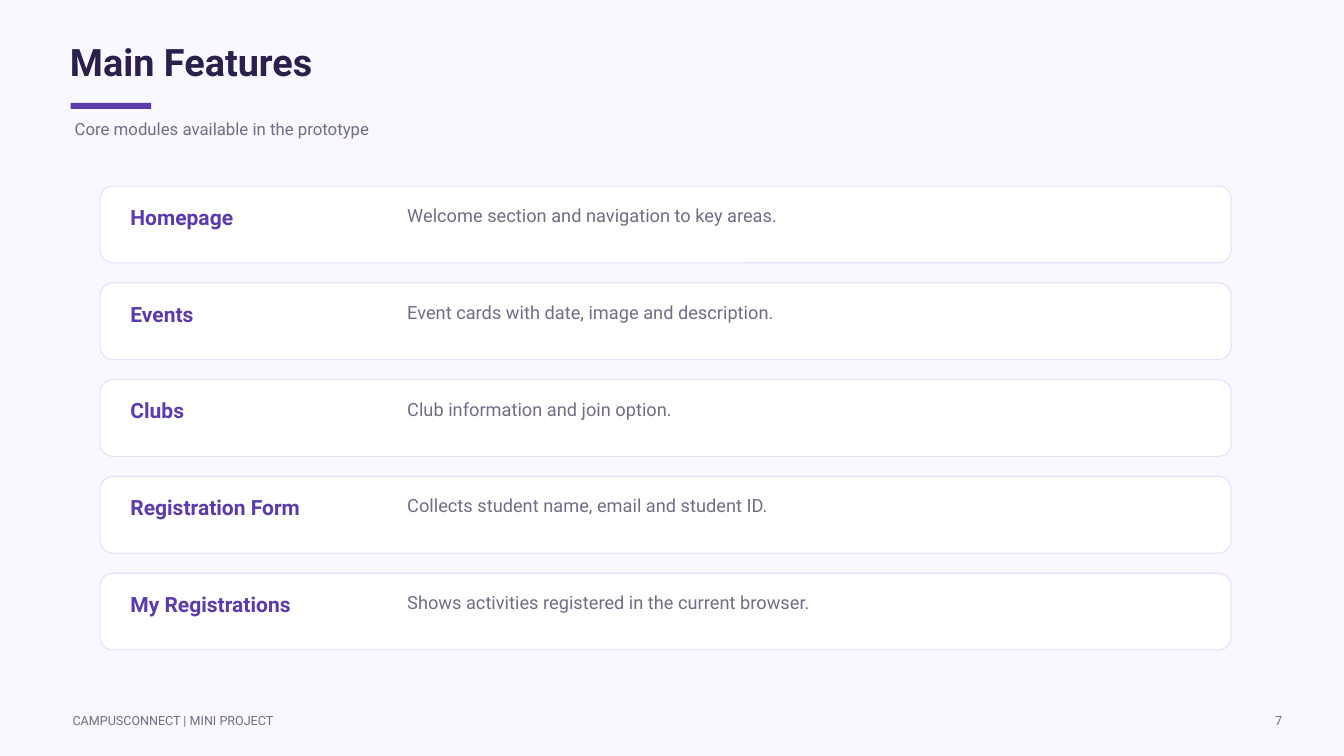
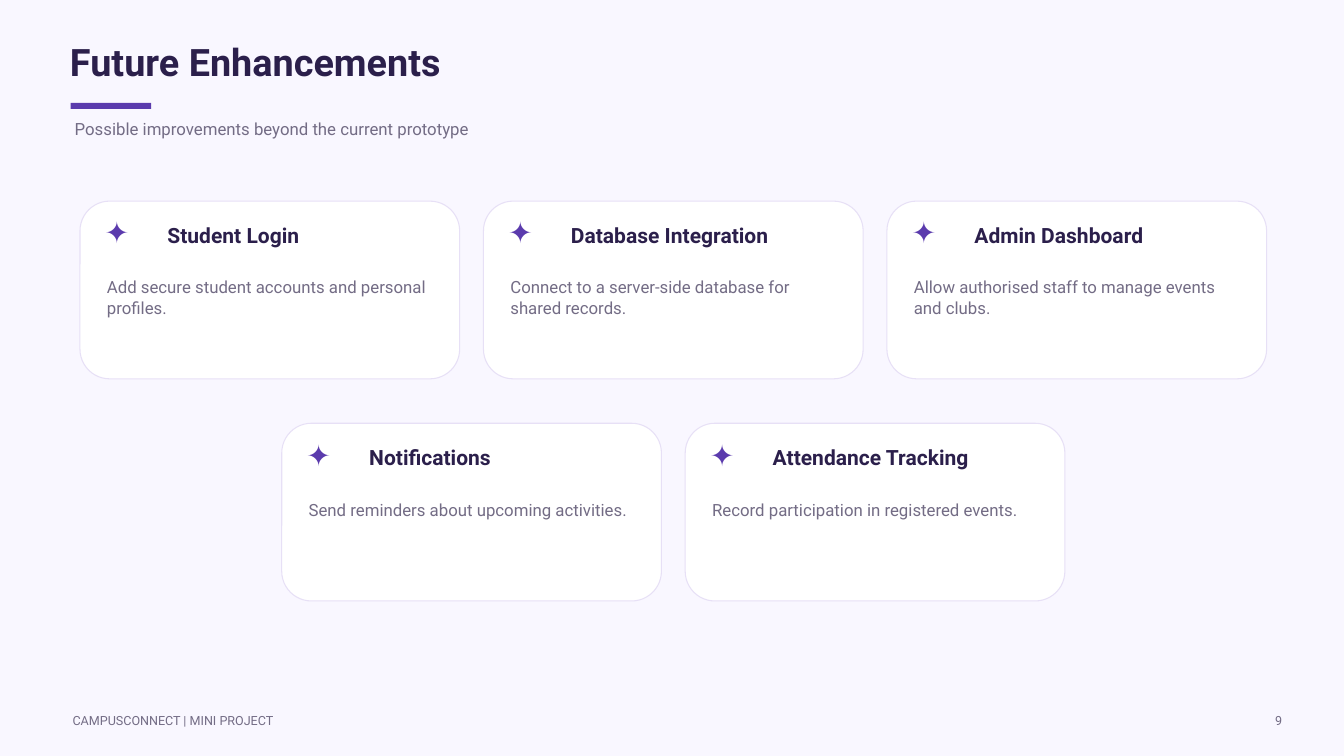
from pptx import Presentation
from pptx.dml.color import RGBColor
from pptx.enum.shapes import MSO_SHAPE
from pptx.enum.text import MSO_AUTO_SIZE, PP_ALIGN
from pptx.util import Pt

RECTANGLE = MSO_SHAPE.RECTANGLE
ROUNDED = MSO_SHAPE.ROUNDED_RECTANGLE
GROW = MSO_AUTO_SIZE.SHAPE_TO_FIT_TEXT
LEFT, RIGHT = PP_ALIGN.LEFT, PP_ALIGN.RIGHT

COLORS = {
    "background": "F9F7FF",
    "accent": "5B3BAD",
    "ink": "2B1F4B",
    "muted": "736C85",
    "card": "FFFFFF",
    "border": "E7E0F6",
}
FONT = "Roboto"
SYMBOL_FONT = "Calibri"
LINE_RATIO = 1.2
CORNER_RATIO = 0.167
PAGE_WIDTH, PAGE_HEIGHT = 1440, 810
FOOTER = "CAMPUSCONNECT | MINI PROJECT"

FEATURES = [
    ("Homepage", "Welcome section and navigation to key areas."),
    ("Events", "Event cards with date, image and description."),
    ("Clubs", "Club information and join option."),
    ("Registration Form", "Collects student name, email and student ID."),
    ("My Registrations", "Shows activities registered in the current browser."),
]
ENHANCEMENTS = [
    [
        ("Student Login", "Add secure student accounts and personal profiles."),
        ("Database Integration", "Connect to a server-side database for shared records."),
        ("Admin Dashboard", "Allow authorised staff to manage events and clubs."),
    ],
    [
        ("Notifications", "Send reminders about upcoming activities."),
        ("Attendance Tracking", "Record participation in registered events."),
    ],
]


def color(name):
    return RGBColor.from_string(COLORS[name])


def add_text(page, text, left, top, width, height, *, size, tint="muted",
             bold=False, font=FONT, align=LEFT):
    box = page.shapes.add_textbox(Pt(left), Pt(top), Pt(width), Pt(height))
    frame = box.text_frame
    frame.margin_left = frame.margin_right = frame.margin_top = frame.margin_bottom = 0
    frame.word_wrap = True
    frame.auto_size = GROW
    para = frame.paragraphs[0]
    para.alignment = align
    para.line_spacing = Pt(size * LINE_RATIO)
    span = para.add_run()
    span.text = text
    span.font.name = font
    span.font.size = Pt(size)
    span.font.bold = bold
    span.font.color.rgb = color(tint)


def add_panel(page, kind, left, top, width, height, fill, border=None):
    panel = page.shapes.add_shape(kind, Pt(left), Pt(top), Pt(width), Pt(height))
    panel.shadow.inherit = False
    panel.fill.solid()
    panel.fill.fore_color.rgb = color(fill)
    if border:
        panel.line.color.rgb = color(border)
        panel.line.width = Pt(1.13)
    else:
        panel.line.fill.background()
    if kind == ROUNDED:
        panel.adjustments[0] = CORNER_RATIO


def add_page(deck, title, subtitle, number):
    page = deck.slides.add_slide(deck.slide_layouts[6])
    page.background.fill.solid()
    page.background.fill.fore_color.rgb = color("background")
    add_text(page, title, 75, 42, 1288, 53, size=40.5, tint="ink", bold=True)
    add_panel(page, RECTANGLE, 75.6, 110.2, 86.4, 6.5, "accent")
    add_text(page, subtitle, 80, 127.4, 1266, 37.4, size=18)
    add_text(page, str(number), 1339.2, 763.9, 34.6, 16.6, size=13.5, align=RIGHT)
    add_text(page, FOOTER, 77.8, 763.9, 532, 16.6, size=13.5)
    return page


def add_feature_row(page, left, top, width, height, name, description):
    add_panel(page, ROUNDED, left, top, width, height, "card", "border")
    add_text(page, name, left + 32.4, top + 19.6, 283, 32.4,
             size=22.5, tint="accent", bold=True)
    add_text(page, description, left + 329, top + 19.6, width - 377, 37.4, size=19.5)


def add_enhancement_card(page, left, top, width, height, name, description):
    add_panel(page, ROUNDED, left, top, width, height, "card", "border")
    add_text(page, "✦", left + 26.5, top + 14.4, 51, 42.5,
             size=31.5, tint="accent", bold=True, font=SYMBOL_FONT)
    add_text(page, name, left + 93.7, top + 22.9, 289, 32.4,
             size=22.5, tint="ink", bold=True)
    add_text(page, description, left + 28.8, top + 81.4, width - 57.6, 97.2, size=18)


def build_features(deck):
    page = add_page(deck, "Main Features", "Core modules available in the prototype", 7)
    height, gap = 82.2, 21.5
    for index, feature in enumerate(FEATURES):
        top = 199.4 + index * (height + gap)
        add_feature_row(page, 107.3, top, 1211.8, height, *feature)


def build_enhancements(deck):
    page = add_page(deck, "Future Enhancements",
                    "Possible improvements beyond the current prototype", 9)
    width, height = 406.8, 190.4
    column_gap, row_gap, center = 25.5, 47.6, 721.4
    for row, cards in enumerate(ENHANCEMENTS):
        row_width = len(cards) * (width + column_gap) - column_gap
        top = 215.5 + row * (height + row_gap)
        for column, card in enumerate(cards):
            left = center - row_width / 2 + column * (width + column_gap)
            add_enhancement_card(page, left, top, width, height, *card)


def main():
    deck = Presentation()
    deck.slide_width, deck.slide_height = Pt(PAGE_WIDTH), Pt(PAGE_HEIGHT)
    build_features(deck)
    build_enhancements(deck)
    deck.save("out.pptx")


if __name__ == "__main__":
    main()
